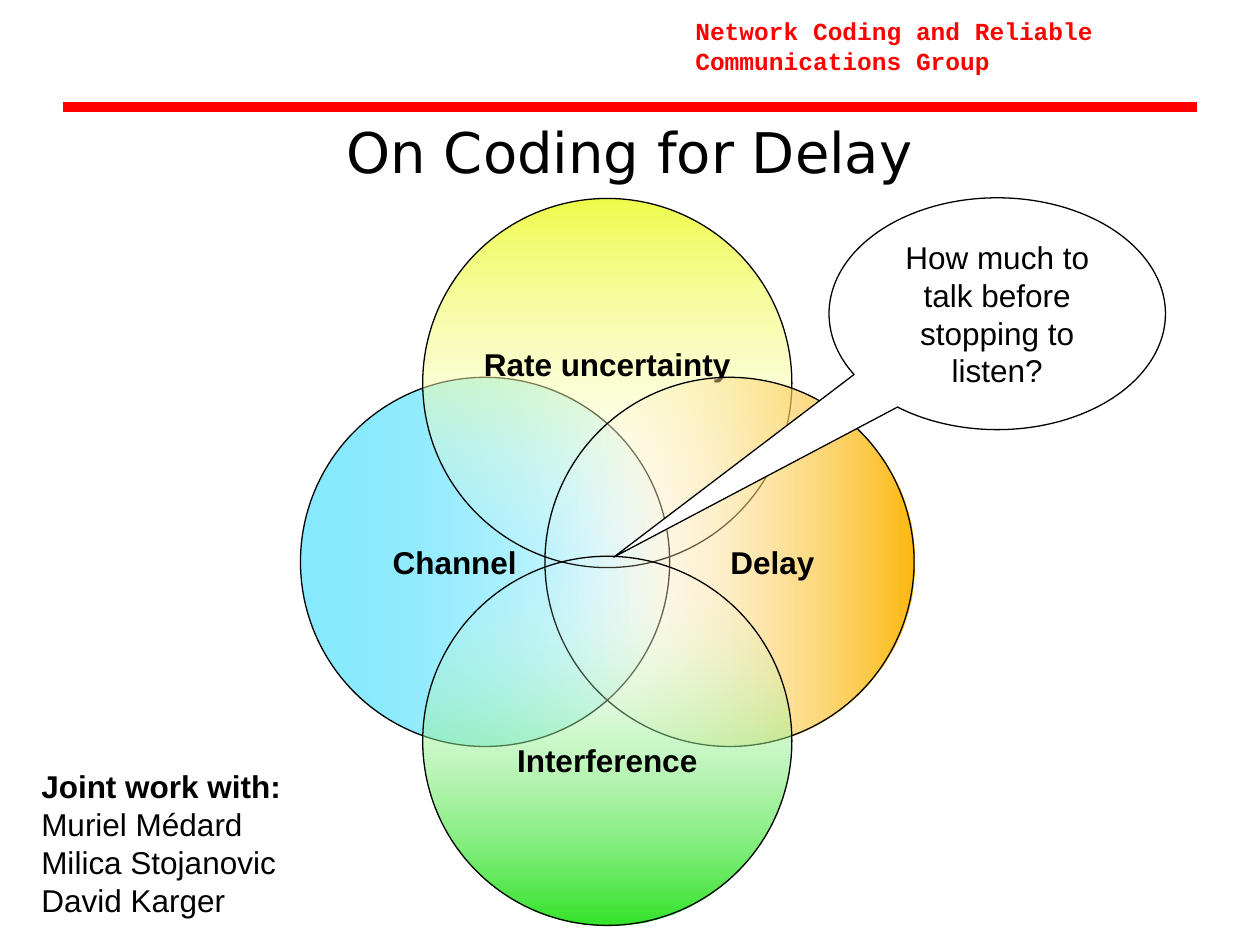
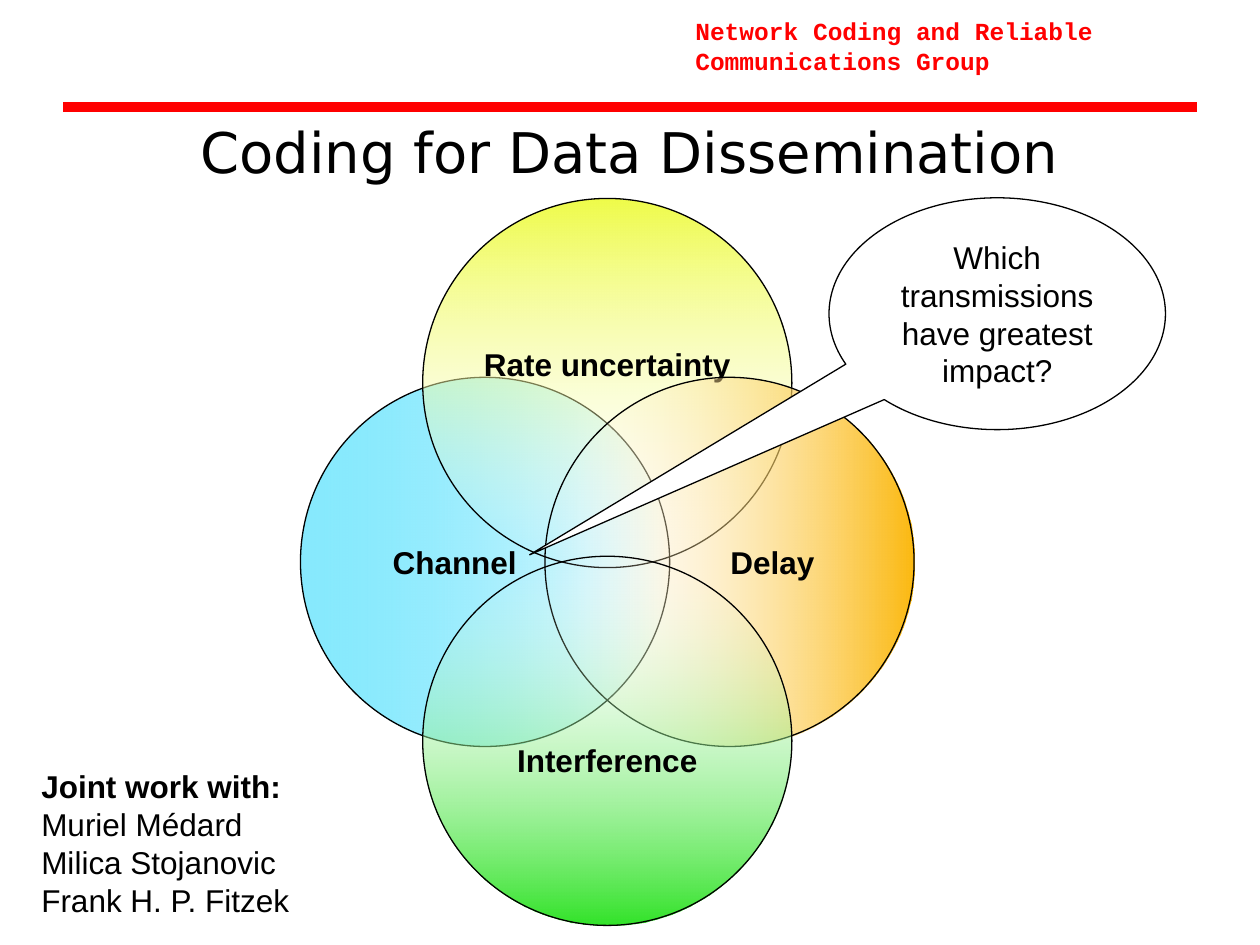
import pptx
import pptx.dml.color
import pptx.enum.shapes
import pptx.enum.text
import pptx.oxml.ns
import pptx.util
from lxml import etree

Inches = pptx.util.Inches
Pt = pptx.util.Pt
qn = pptx.oxml.ns.qn
SHAPES = pptx.enum.shapes.MSO_SHAPE
ALIGN = pptx.enum.text.PP_ALIGN
ANCHOR = pptx.enum.text.MSO_ANCHOR
TITLE_ONLY = 5

HEADER = "Network Coding and Reliable Communications Group"
HUB_X, HUB_Y = 4.82, 4.46
REACH_X, REACH_Y = 0.97, 1.42
DIAMETER = 2.93

TOPICS = [
    ("Channel", (-1, 0), 180, [("FFFFFF", 100), ("0FD5FD", 50)], {"margin_right": 0.58}),
    ("Rate uncertainty", (0, -1), 270, [("EFFC4A", 100), ("FFFFFF", 0)], {"margin_bottom": 0.35}),
    ("Delay", (1, 0), 180, [("FCB910", 100), ("FFFFFF", 0)], {"margin_left": 0.78}),
    ("Interference", (0, 1), 270, [("FFFFFF", 0), ("32E329", 100)], {"margin_top": 0.35}),
]

TALKS = [
    ("On Coding for Delay", "How much to talk before stopping to listen?",
     (-1.14, 1.05), "David Karger"),
    ("Coding for Data Dissemination", "Which transmissions have greatest impact?",
     (-1.39, 1.04), "Frank H. P. Fitzek"),
]


def rgb(value):
    return pptx.dml.color.RGBColor.from_string(value)


def apply(target, values):
    for name, value in values.items():
        setattr(target, name, value)


def box(*lengths):
    return [Inches(length) for length in lengths]


class Deck:
    black, white, red = "000000", "FFFFFF", "FF0000"
    body = {"name": "Arial", "size": Pt(18), "bold": False}
    label = {**body, "bold": True}
    banner = {"name": "Courier New", "size": Pt(14), "bold": True}
    heading = {"name": "DejaVu Sans", "size": Pt(32), "bold": False}
    frame = {
        "margin_left": Inches(0.1), "margin_right": Inches(0.1),
        "margin_top": Inches(0.05), "margin_bottom": Inches(0.05),
        "word_wrap": True, "auto_size": pptx.enum.text.MSO_AUTO_SIZE.NONE,
        "vertical_anchor": ANCHOR.TOP,
    }

    def __init__(self):
        self.presentation = pptx.Presentation()
        apply(self.presentation, {"slide_width": Inches(10), "slide_height": Inches(7.5)})
        self.slide = None

    def fill_text(self, shape, lines, font, color=black, align=ALIGN.LEFT, **frame):
        apply(shape.text_frame, {**self.frame, **frame})
        shape.text_frame.text = "\n".join(lines)
        for paragraph in shape.text_frame.paragraphs:
            paragraph.alignment = align
            apply(paragraph.font, font)
            paragraph.font.color.rgb = rgb(color)

    def start(self, title):
        layout = self.presentation.slide_layouts[TITLE_ONLY]
        self.slide = self.presentation.slides.add_slide(layout)
        self.text((5.42, 0.08, 4.08, 0.57), [HEADER], self.banner, color=self.red)
        self.rule((0.5, 0.85), (9.5, 0.85))
        heading = self.slide.shapes.title
        place = zip(("left", "top", "width", "height"), box(0.5, 0.85, 9, 0.7))
        apply(heading, dict(place))
        self.fill_text(heading, [title], self.heading, align=ALIGN.CENTER,
                       vertical_anchor=ANCHOR.MIDDLE)

    def text(self, place, lines, font, **style):
        shape = self.slide.shapes.add_textbox(*box(*place))
        self.fill_text(shape, lines, font, **style)
        return shape

    def rule(self, start, end):
        line = self.slide.shapes.add_connector(
            pptx.enum.shapes.MSO_CONNECTOR.STRAIGHT, *box(*start, *end))
        line.line.color.rgb = rgb(self.red)
        line.line.width = Pt(6)
        etree.SubElement(line._element.spPr, qn("a:effectLst"))

    def outlined(self, kind, place):
        shape = self.slide.shapes.add_shape(kind, *box(*place))
        shape.shadow.inherit = False
        shape.line.color.rgb = rgb(self.black)
        shape.line.width = Pt(0.75)
        return shape

    def circle(self, label, direction, angle, stops, nudge):
        left = HUB_X + direction[0] * REACH_X - DIAMETER / 2
        top = HUB_Y + direction[1] * REACH_Y - DIAMETER / 2
        circle = self.outlined(SHAPES.OVAL, (left, top, DIAMETER, DIAMETER))
        circle.fill.gradient()
        circle.fill.gradient_angle = angle
        for stop, (color, opacity) in zip(circle.fill.gradient_stops, stops):
            stop.color.rgb = rgb(color)
        colors = circle._element.spPr.find(qn("a:gradFill")).iter(qn("a:srgbClr"))
        for element, (color, opacity) in zip(list(colors), stops):
            etree.SubElement(element, qn("a:alpha"), val=str(opacity * 1000))
        margins = {side: Inches(length) for side, length in nudge.items()}
        self.fill_text(circle, [label], self.label, align=ALIGN.CENTER,
                       vertical_anchor=ANCHOR.MIDDLE, word_wrap=False, **margins)

    def callout(self, question, tip):
        bubble = self.outlined(SHAPES.OVAL_CALLOUT, (6.58, 1.57, 2.67, 1.84))
        bubble.fill.solid()
        bubble.fill.fore_color.rgb = rgb(self.white)
        for index, offset in enumerate(tip):
            bubble.adjustments[index] = offset
        self.fill_text(bubble, [question], self.body, align=ALIGN.CENTER)

    def credits(self, coauthors):
        names = self.text((0.23, 6.04, 2.2, 1.3), ["Joint work with:", *coauthors],
                          self.body, word_wrap=False)
        names.text_frame.paragraphs[0].font.bold = True


def main():
    deck = Deck()
    for title, question, tip, coauthor in TALKS:
        deck.start(title)
        for topic in TOPICS:
            deck.circle(*topic)
        deck.callout(question, tip)
        deck.credits(["Muriel Médard", "Milica Stojanovic", coauthor])
    deck.presentation.save("out.pptx")


if __name__ == "__main__":
    main()
